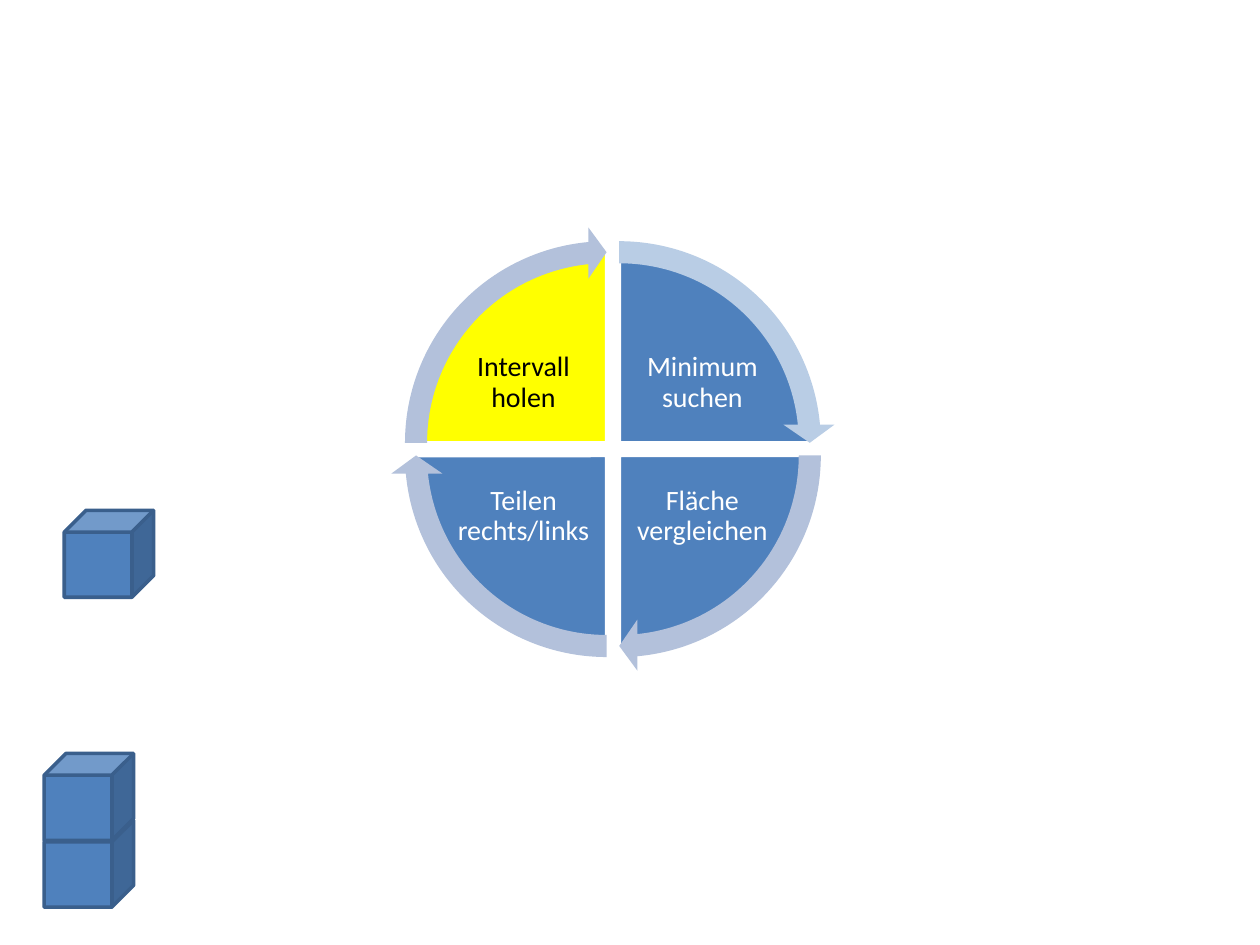
"""Build a slide with a four-step cycle and three cubes."""
from pptx import Presentation
from pptx import util as u
from pptx.dml.color import RGBColor
from pptx.enum import shapes, text

HEX = {"blue": "4F81BD", "edge": "3A5F8C", "white": "FFFFFF", "black": "000000",
       "yellow": "FFFF00", "pale": "B9CDE5", "grey": "B3C1DB"}
CUBES = [(0.51, 4.05), (0.35, 6.51), (0.35, 5.98)]
STEPS = [
    ("Minimum suchen", "blue", "white", "pale", 1, 0),
    ("Fläche vergleichen", "blue", "white", "grey", 1, 1),
    ("Teilen rechts/links", "blue", "white", "grey", 0, 1),
    ("Intervall holen", "yellow", "black", "grey", 0, 0),
]
LEFT, TOP, GAP = 3.29, 1.99, 0.1
PIE, RING = 3.05, 3.43
QUARTER, FULL, SWEEP = 54, 216, 50.725
KIND = shapes.MSO_SHAPE


def color(name):
    return RGBColor.from_string(HEX[name])


def draw(group, kind, box, fill, line=None, adjust=()):
    shape = group.add_shape(kind, *map(u.Inches, box))
    shape.shadow.inherit = False
    shape.fill.solid()
    shape.fill.fore_color.rgb = color(fill)
    if line:
        shape.line.color.rgb = color(line)
        shape.line.width = u.Pt(2)
    else:
        shape.line.fill.background()
    for i, value in enumerate(adjust):
        shape.adjustments[i] = value


def label(group, words, ink, box):
    frame = group.add_textbox(*map(u.Inches, box)).text_frame
    frame.word_wrap = True
    frame.vertical_anchor = text.MSO_ANCHOR.MIDDLE
    frame.margin_left = frame.margin_right = u.Inches(0.02)
    frame.margin_top = frame.margin_bottom = u.Inches(0.02)
    para = frame.paragraphs[0]
    para.text = words
    para.alignment = text.PP_ALIGN.CENTER
    para.line_spacing = 0.9
    para.font.name = "Calibri"
    para.font.size = u.Pt(16)
    para.font.color.rgb = color(ink)


def main():
    deck = Presentation()
    deck.slide_width, deck.slide_height = u.Inches(10), u.Inches(7.5)
    slide = deck.slides.add_slide(deck.slide_layouts[6])
    for x, y in CUBES:
        draw(slide.shapes, KIND.CUBE, (x, y, 0.71, 0.69), "blue", "edge")

    cycle = slide.shapes.add_group_shape().shapes
    rings = []
    for i, (words, fill, ink, ring, col, row) in enumerate(STEPS):
        start = (i - 1) * QUARTER % FULL
        x, y = LEFT + col * GAP, TOP + row * GAP
        draw(cycle, KIND.PIE, (x, y, PIE, PIE), fill, "white",
             (start, (start + QUARTER) % FULL))
        label(cycle, words, ink, (3.59 + col * 1.42, 2.62 + row * 1.06, 1.13, 0.84))
        pad = (RING - PIE) / 2
        rings.append(((x - pad, y - pad, RING, RING), ring, start))
    for box, ring, start in rings:
        draw(cycle, KIND.CIRCULAR_ARROW, box, ring,
             adjust=(0.051, 3.275, start + SWEEP, start, 0.059))
    deck.save("out.pptx")


if __name__ == "__main__":
    main()
